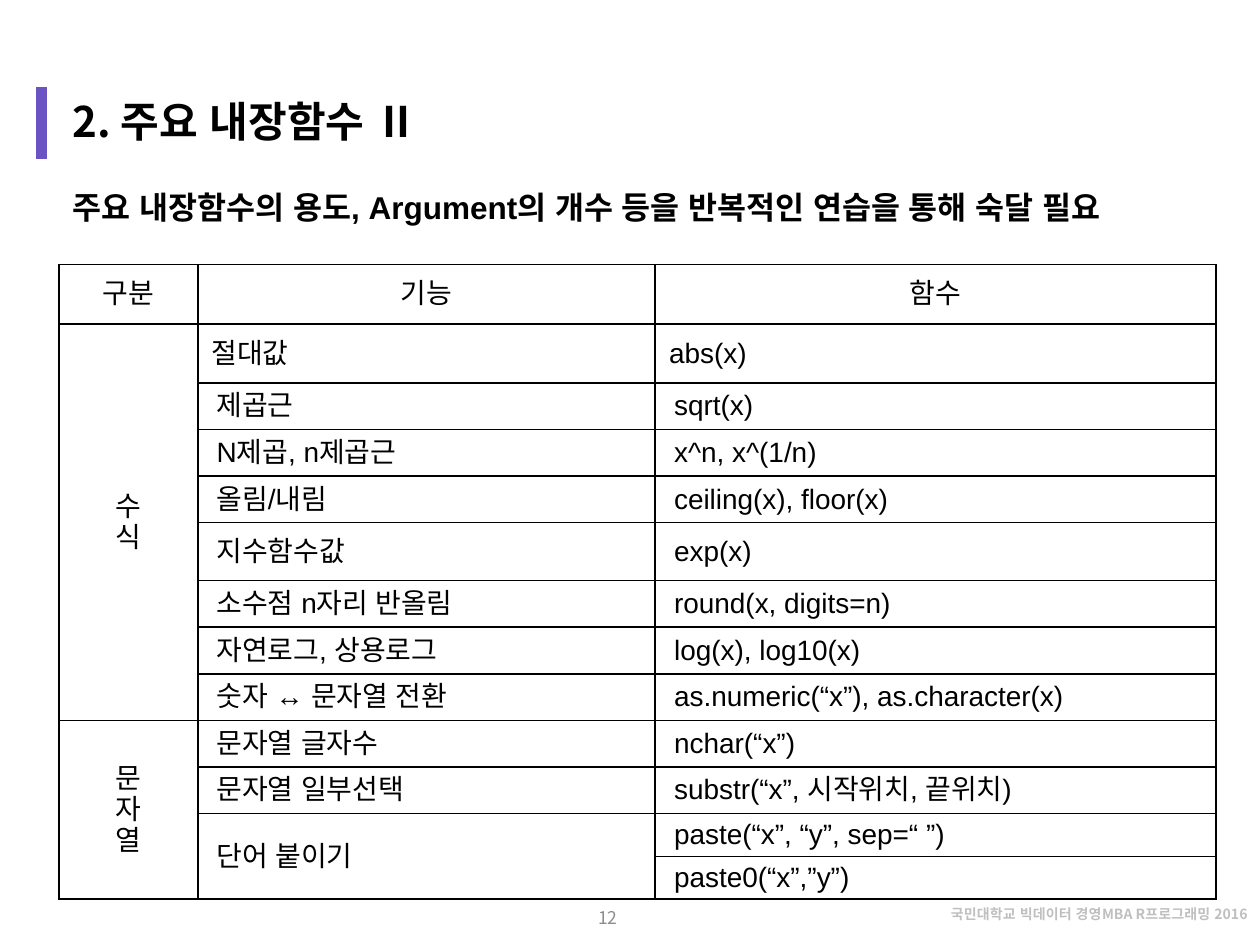
from lxml import etree
from pptx import Presentation
from pptx import util as u
from pptx.dml.color import RGBColor
from pptx.enum import shapes, text
from pptx.oxml.ns import qn

Inches, Pt = u.Inches, u.Pt
ALIGN, ANCHOR = text.PP_ALIGN, text.MSO_ANCHOR
COLORS = {"ink": "000000", "accent": "6C53C3", "page": "8C8C8C", "footer": "BFBFBF"}
KOREAN, LATIN = "Noto Sans CJK KR", "Arial"


class SlideBuilder:
    def __init__(self, slide):
        self.slide = slide

    def style(self, frame, size, color="ink", font=LATIN, bold=False, align=ALIGN.LEFT):
        for paragraph in frame.paragraphs:
            paragraph.alignment = align
            for run in paragraph.runs:
                run.font.size, run.font.bold, run.font.name = Pt(size), bold, font
                run.font.color.rgb = RGBColor.from_string(COLORS[color])
                # Arial sets the width of the spaces between Korean words
                east_asian = etree.SubElement(run.font._element, qn("a:ea"))
                east_asian.set("typeface", LATIN)

    def label(self, box, words, size, anchor=ANCHOR.MIDDLE, **look):
        frame = self.slide.shapes.add_textbox(*map(Inches, box)).text_frame
        frame.word_wrap = True
        frame.vertical_anchor = anchor
        frame.text = words
        self.style(frame, size, **look)
        return frame

    def line(self, x1, y1, x2, y2, color, width):
        bar = self.slide.shapes.add_connector(
            shapes.MSO_CONNECTOR.STRAIGHT, *map(Inches, (x1, y1, x2, y2)))
        bar.line.color.rgb = RGBColor.from_string(COLORS[color])
        bar.line.width = Pt(width)
        etree.SubElement(bar._element.spPr, qn("a:effectLst"))

    def borders(self, cell):
        properties = cell._tc.get_or_add_tcPr()
        for position, side in enumerate(("lnL", "lnR", "lnT", "lnB")):
            edge = etree.Element(qn("a:" + side), w=str(Pt(1)))
            fill = etree.SubElement(edge, qn("a:solidFill"))
            etree.SubElement(fill, qn("a:srgbClr"), val=COLORS["ink"])
            properties.insert(position, edge)

    def cell(self, cell, words, side, edge, align=ALIGN.LEFT):
        cell.text = words
        cell.vertical_anchor = ANCHOR.MIDDLE
        cell.margin_left = cell.margin_right = Inches(side)
        cell.margin_top = cell.margin_bottom = Inches(edge)
        self.style(cell.text_frame, 16, align=align)

    def table(self, box, widths, heights):
        grid = self.slide.shapes.add_table(
            len(heights), len(widths), *map(Inches, box)).table
        grid.first_row = grid.horz_banding = False
        for column, width in zip(grid.columns, widths):
            column.width = Inches(width)
        for row, height in zip(grid.rows, heights):
            row.height = Inches(height)
        for cell in grid.iter_cells():
            cell.fill.background()
            self.borders(cell)
        return grid


HEADINGS = ["구분", "기능", "함수"]
# Category (one syllable a line) and its (purpose, function) rows
CATEGORIES = [
    ("수\n식", [
        ("절대값", "abs(x)"),
        ("제곱근", "sqrt(x)"),
        ("N제곱, n제곱근", "x^n, x^(1/n)"),
        ("올림/내림", "ceiling(x), floor(x)"),
        ("지수함수값", "exp(x)"),
        ("소수점 n자리 반올림", "round(x, digits=n)"),
        ("자연로그, 상용로그", "log(x), log10(x)"),
        ("숫자 ↔ 문자열 전환", "as.numeric(“x”), as.character(x)"),
    ]),
    ("문\n자\n열", [
        ("문자열 글자수", "nchar(“x”)"),
        ("문자열 일부선택", "substr(“x”, 시작위치, 끝위치)"),
        ("단어 붙이기", "paste(“x”, “y”, sep=“ ”)"),
        (None, "paste0(“x”,”y”)"),
    ]),
]


def main():
    deck = Presentation()
    deck.slide_width, deck.slide_height = Inches(10), Inches(7.5)
    page = SlideBuilder(deck.slides.add_slide(deck.slide_layouts[6]))

    # Footer, page number and accent bar
    footer = page.label((6.87, 7.15, 3.13, 0.28), "국민대학교 빅데이터 경영MBA R프로그래밍 2016", 8,
                        anchor=ANCHOR.TOP, color="footer", font=KOREAN,
                        bold=True, align=ALIGN.RIGHT)
    footer.paragraphs[0].line_spacing = 0.9
    page.line(0.33, 0.69, 0.33, 1.26, "accent", 6)
    page.label((3.7, 7.08, 2.25, 0.4), "12", 10, color="page", font=KOREAN,
               align=ALIGN.CENTER)

    # Title and key message
    page.label((0.48, 0.76, 9.03, 0.39), "2. 주요 내장함수 Ⅱ", 24, font=KOREAN, bold=True)
    page.label((0.48, 1.44, 9.32, 0.4),
               "주요 내장함수의 용도, Argument의 개수 등을 반복적인 연습을 통해 숙달 필요",
               18, anchor=ANCHOR.TOP, bold=True)

    # Function table
    heights = [0.47] * 2 + [0.37] * 3 + [0.46] + [0.37] * 5 + [0.34] * 2
    functions = page.table((0.47, 2.1, 9.18, sum(heights)), [1.1, 3.63, 4.45], heights)
    for column, heading in enumerate(HEADINGS):
        page.cell(functions.cell(0, column), heading, 0.05, 0.07, ALIGN.CENTER)
    row = 1
    for category, entries in CATEGORIES:
        head = functions.cell(row, 0)
        head.merge(functions.cell(row + len(entries) - 1, 0))
        page.cell(head, category, 0.05, 0.07, ALIGN.CENTER)
        for purpose, function in entries:
            side, edge = (0.11, 0.07) if row == 1 else (0.15, 0.02)
            if purpose:
                page.cell(functions.cell(row, 1), purpose, side, edge)
            else:
                functions.cell(row - 1, 1).merge(functions.cell(row, 1))
            page.cell(functions.cell(row, 2), function, side, edge)
            row += 1

    deck.save("out.pptx")


if __name__ == "__main__":
    main()
